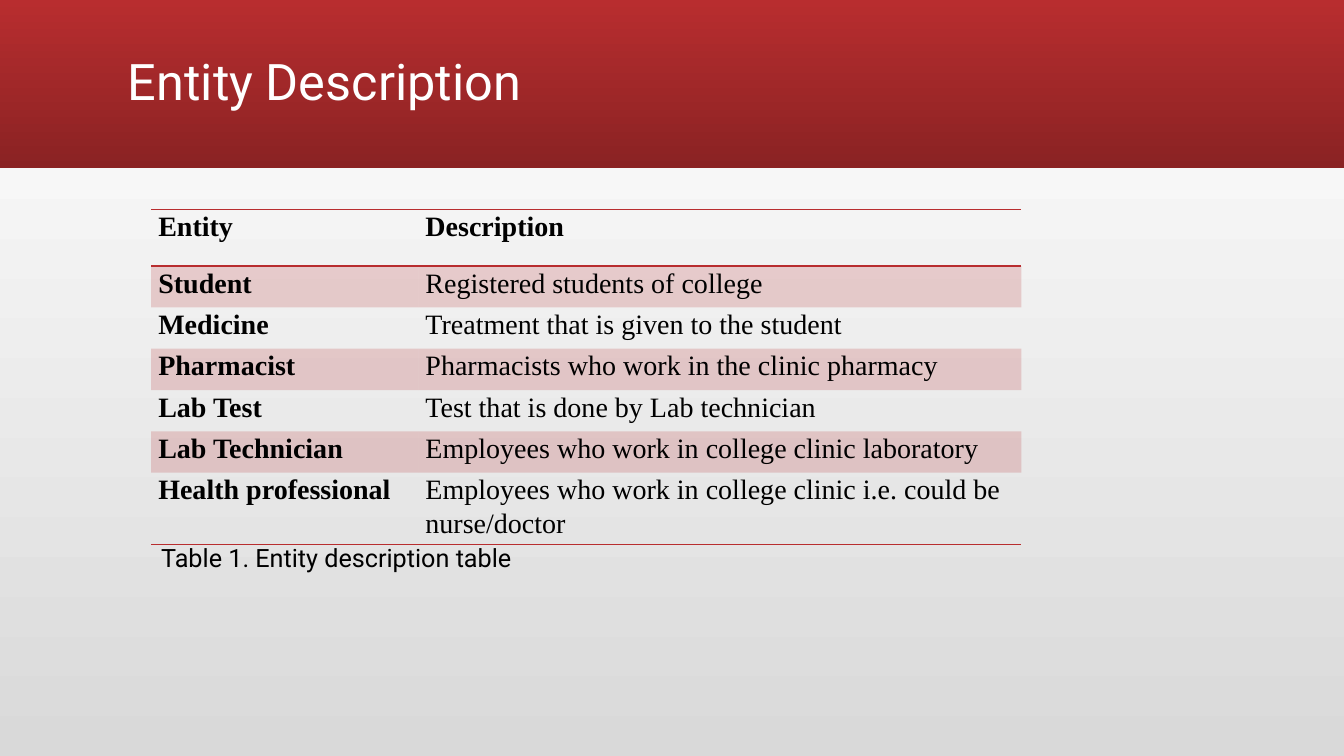
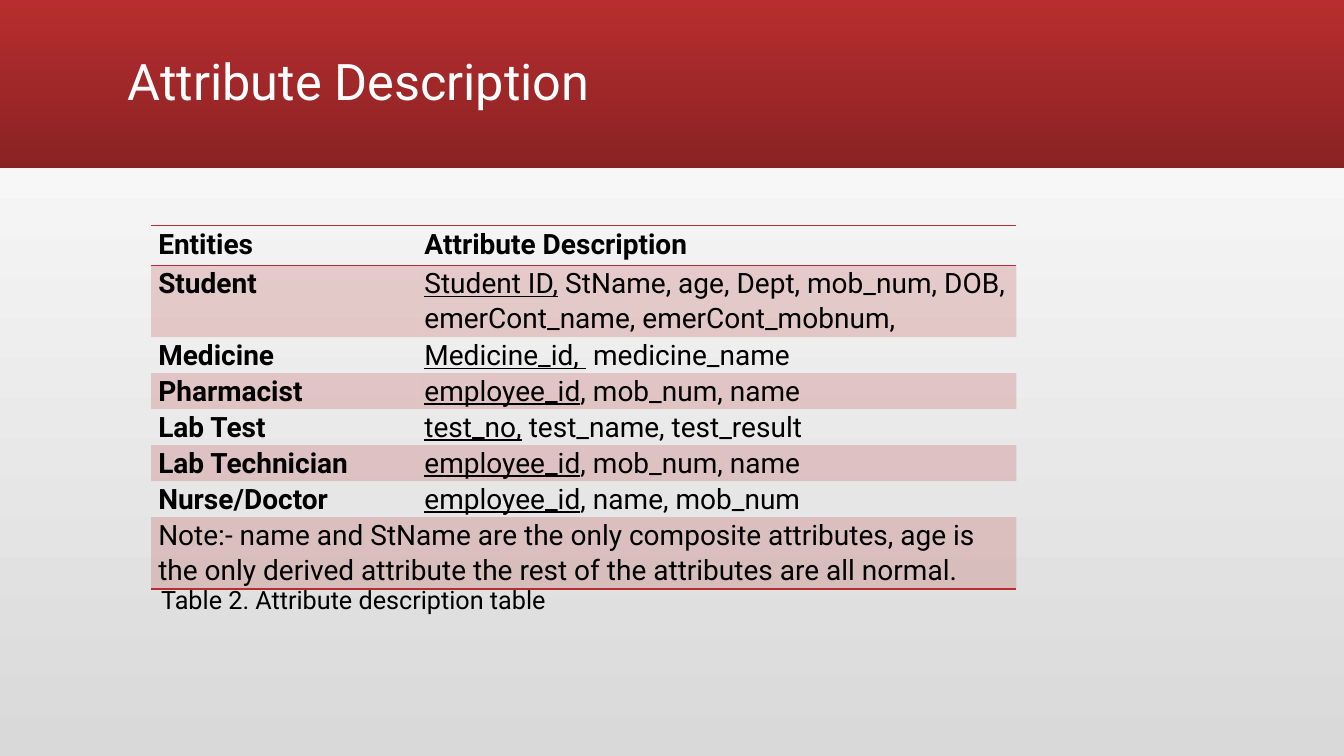
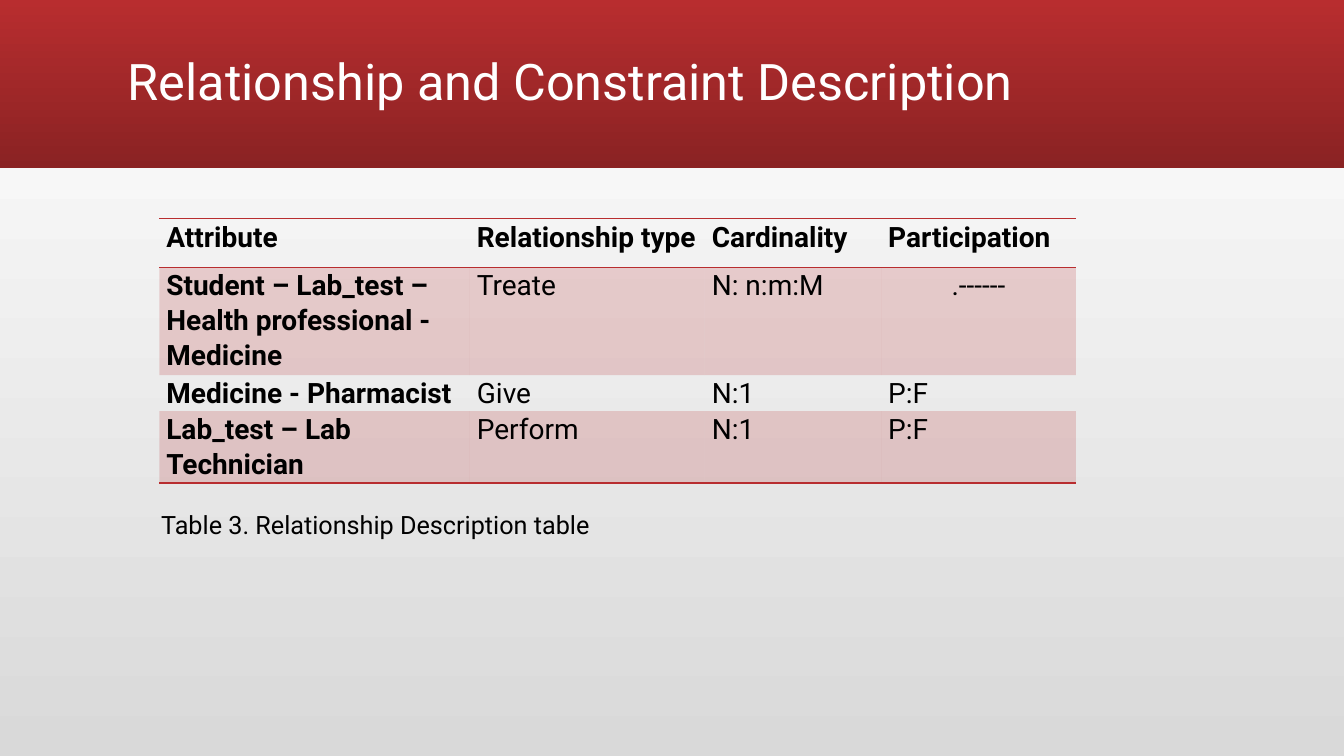
"""Build three slides that describe the entities of a college clinic database."""
from dataclasses import dataclass
from typing import Any

import lxml.etree
import pptx
import pptx.dml.color
import pptx.enum.shapes
import pptx.enum.text
import pptx.oxml.ns
import pptx.util

Inches = pptx.util.Inches
RED, DARK, WHITE, GREY, BLACK = "B82D2F", "8A2223", "FFFFFF", "D9D9D9", "000000"
FONT = "Roboto"
WIDTH, HEIGHT, BAND = 13.33, 7.5, 1.67
PLAIN = "{2D5ABB26-0587-4C30-8999-92F81FD0307C}"
NOTE = (
    "Note:- name and StName are the only composite attributes, age is "
    "the only derived attribute the rest of the attributes are all normal."
)


@dataclass(frozen=True)
class Grid:
    left: float
    top: float
    cols: tuple[float, ...]
    rows: tuple[float, ...]
    cells: tuple[tuple[str, ...], ...]
    font: str = FONT
    centred: tuple[tuple[int, int], ...] = ()


@dataclass(frozen=True)
class Page:
    title: str
    note: str
    note_top: float
    grid: Grid


PAGES = (
    Page("Entity Description", "Table 1. Entity description table", 5.33, Grid(
        1.5, 2.08, (2.65, 5.98), (0.56,) + (0.41,) * 6,
        (
            ("Entity", "Description"),
            ("Student", "Registered students of college"),
            ("Medicine", "Treatment that is given to the student"),
            ("Pharmacist", "Pharmacists who work in the clinic pharmacy"),
            ("Lab Test", "Test that is done by Lab technician"),
            ("Lab Technician", "Employees who work in college clinic laboratory"),
            ("Health professional",
             "Employees who work in college clinic i.e. could be nurse/doctor"),
        ),
        font="Times New Roman")),
    Page("Attribute Description", "Table 2. Attribute description table", 5.75, Grid(
        1.5, 2.24, (2.64, 5.94), (0.39, 0.58, 0.29, 0.28, 0.29, 0.28, 0.29, 0.59),
        (
            ("Entities", "Attribute Description"),
            ("Student", "Student ID,| StName, age, Dept, mob_num, DOB, "
                        "emerCont_name, emerCont_mobnum,"),
            ("Medicine", "Medicine_id, | medicine_name"),
            ("Pharmacist", "employee_id|, mob_num, name"),
            ("Lab Test", "test_no,| test_name, test_result"),
            ("Lab Technician", "employee_id|, mob_num, name"),
            ("Nurse/Doctor", "employee_id|, name, mob_num"),
            (NOTE,),
        ))),
    Page("Relationship and Constraint Description",
         "Table 3. Relationship Description table", 5, Grid(
             1.58, 2.17, (3.08, 2.33, 1.75, 1.93), (0.48, 0.73, 0.35, 0.35),
             (
                 ("Attribute", "Relationship type", "Cardinality", "Participation"),
                 ("Student – Lab_test – Health professional - Medicine",
                  "Treate", "N: n:m:M", ".------"),
                 ("Medicine - Pharmacist", "Give", "N:1", "P:F"),
                 ("Lab_test – Lab Technician", "Perform", "N:1", "P:F"),
             ),
             centred=((1, 3),))),
)


def tint(code: str) -> pptx.dml.color.RGBColor:
    """Turn a hex string into a colour."""
    return pptx.dml.color.RGBColor.from_string(code)


def blend(fill: Any, first: str, last: str, angle: float) -> None:
    """Give a fill a gradient of two colours."""
    fill.gradient()
    fill.gradient_angle = angle
    for stop, code in zip(fill.gradient_stops, (first, last)):
        stop.color.rgb = tint(code)


def style(run: Any, size: float, code: str, font: str = FONT, bold: bool = False) -> None:
    """Format a run."""
    run.font.size = pptx.util.Pt(size)
    run.font.name = font
    run.font.bold = bold
    run.font.color.rgb = tint(code)


def write(slide: Any, text: str, box: tuple[float, ...], size: float, code: str) -> Any:
    """Add a line of text and return its frame."""
    frame = slide.shapes.add_textbox(*map(Inches, box)).text_frame
    frame.word_wrap = True
    frame.text = text
    style(frame.paragraphs[0].runs[0], size, code)
    return frame


def rule(cell: Any, side: str) -> None:
    """Draw a red line along one side of a cell."""
    space = pptx.oxml.ns.nsdecls("a")
    props = cell._tc.get_or_add_tcPr()
    props.insert(0, lxml.etree.fromstring(
        f'<a:{side} {space} w="12700"><a:solidFill><a:srgbClr val="{RED}"/>'
        f'</a:solidFill></a:{side}>'))


def shade(cell: Any) -> None:
    """Fill a cell with a light tint of red."""
    cell.fill.solid()
    cell.fill.fore_color.rgb = tint(RED)
    code = cell._tc.tcPr.xpath("./a:solidFill/a:srgbClr")[0]
    lxml.etree.SubElement(code, pptx.oxml.ns.qn("a:alpha"), val="20000")


def fill_cell(cell: Any, text: str, font: str, bold: bool, centred: bool) -> None:
    """Write a cell, with the part before a bar underlined."""
    cell.margin_left = cell.margin_right = Inches(0.07)
    cell.margin_top = cell.margin_bottom = 0
    key, bar, rest = text.partition("|")
    para = cell.text_frame.paragraphs[0]
    para.text = key
    para.line_spacing = 1.07
    if centred:
        para.alignment = pptx.enum.text.PP_ALIGN.CENTER
    if bar:
        para.runs[0].font.underline = True
        para.add_run().text = rest
    for run in para.runs:
        style(run, 20, BLACK, font, bold)


def draw_grid(slide: Any, grid: Grid) -> None:
    """Add a table with shaded odd rows and red rules."""
    last = len(grid.rows) - 1
    frame = slide.shapes.add_table(
        len(grid.rows), len(grid.cols), Inches(grid.left), Inches(grid.top),
        Inches(sum(grid.cols)), Inches(sum(grid.rows)))
    frame._element.xpath(".//a:tableStyleId")[0].text = PLAIN
    table = frame.table
    table.first_row = table.horz_banding = False
    for col, width in zip(table.columns, grid.cols):
        col.width = Inches(width)
    for row, height in zip(table.rows, grid.rows):
        row.height = Inches(height)
    for r, texts in enumerate(grid.cells):
        whole = len(texts) == 1
        if whole:
            table.cell(r, 0).merge(table.cell(r, len(grid.cols) - 1))
        for c, text in enumerate(texts):
            bold = not whole and (r == 0 or c == 0)
            fill_cell(table.cell(r, c), text, grid.font, bold, (r, c) in grid.centred)
        for c in range(len(grid.cols)):
            cell = table.cell(r, c)
            if r % 2:
                shade(cell)
            else:
                cell.fill.background()
            if r in (0, last):
                rule(cell, "lnB")
            if r == 0:
                rule(cell, "lnT")


def draw_base(slide: Any, title: str) -> None:
    """Add the backdrop, the red band and the title."""
    blend(slide.background.fill, GREY, WHITE, 90)
    band = slide.shapes.add_shape(
        pptx.enum.shapes.MSO_SHAPE.RECTANGLE, 0, 0, Inches(WIDTH), Inches(BAND))
    band.shadow.inherit = False
    band.line.fill.background()
    blend(band.fill, RED, DARK, 270)
    frame = write(slide, title, (1.17, 0.11, 11, 1.45), 36, WHITE)
    frame.vertical_anchor = pptx.enum.text.MSO_ANCHOR.MIDDLE
    frame.paragraphs[0].line_spacing = 0.9


def main() -> None:
    """Build and save the deck."""
    deck = pptx.Presentation()
    deck.slide_width, deck.slide_height = Inches(WIDTH), Inches(HEIGHT)
    for page in PAGES:
        slide = deck.slides.add_slide(deck.slide_layouts[6])
        draw_base(slide, page.title)
        note = write(slide, page.note, (1.5, page.note_top, 7.25, 0.4), 18, BLACK)
        note.auto_size = pptx.enum.text.MSO_AUTO_SIZE.SHAPE_TO_FIT_TEXT
        draw_grid(slide, page.grid)
    deck.save("out.pptx")


if __name__ == "__main__":
    main()
